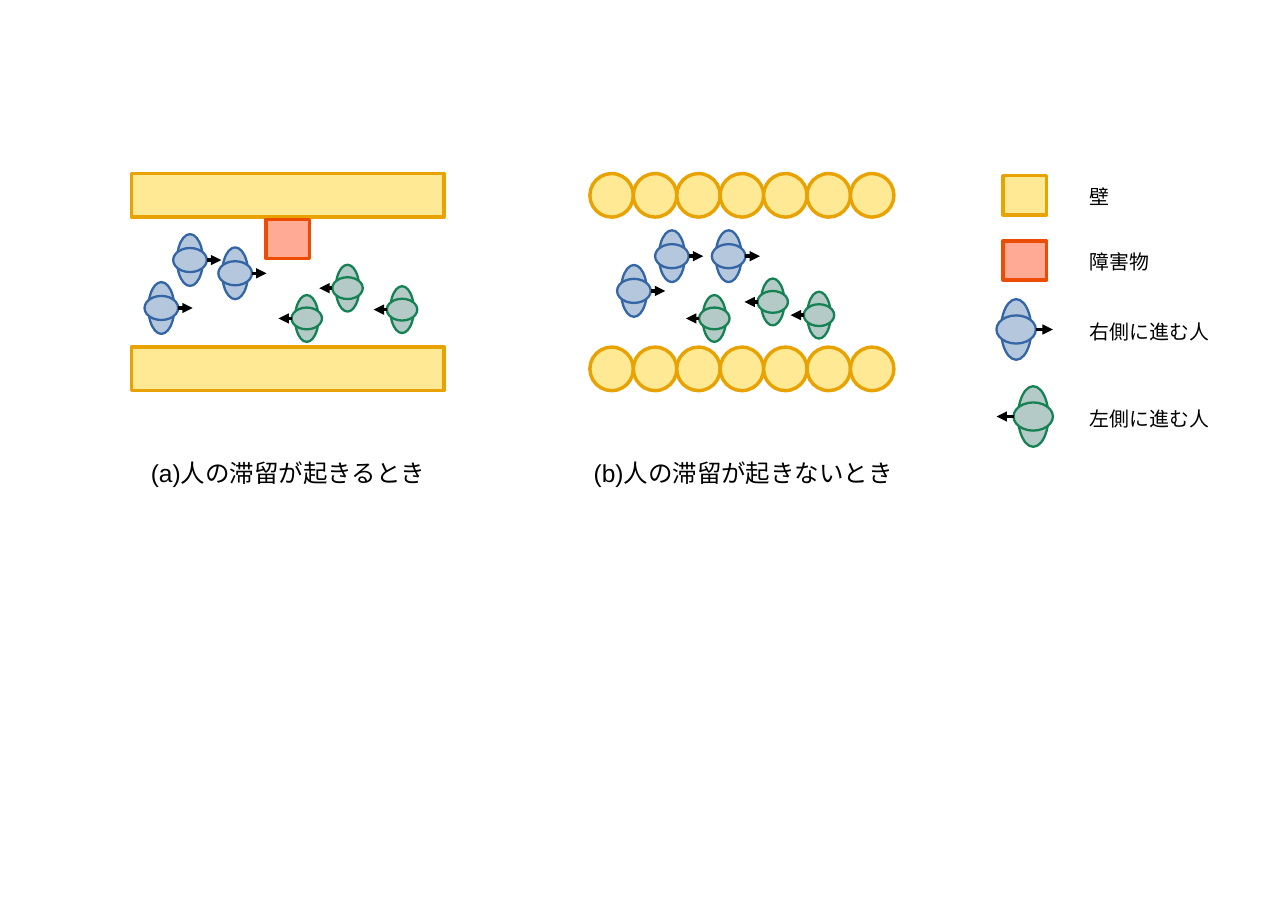
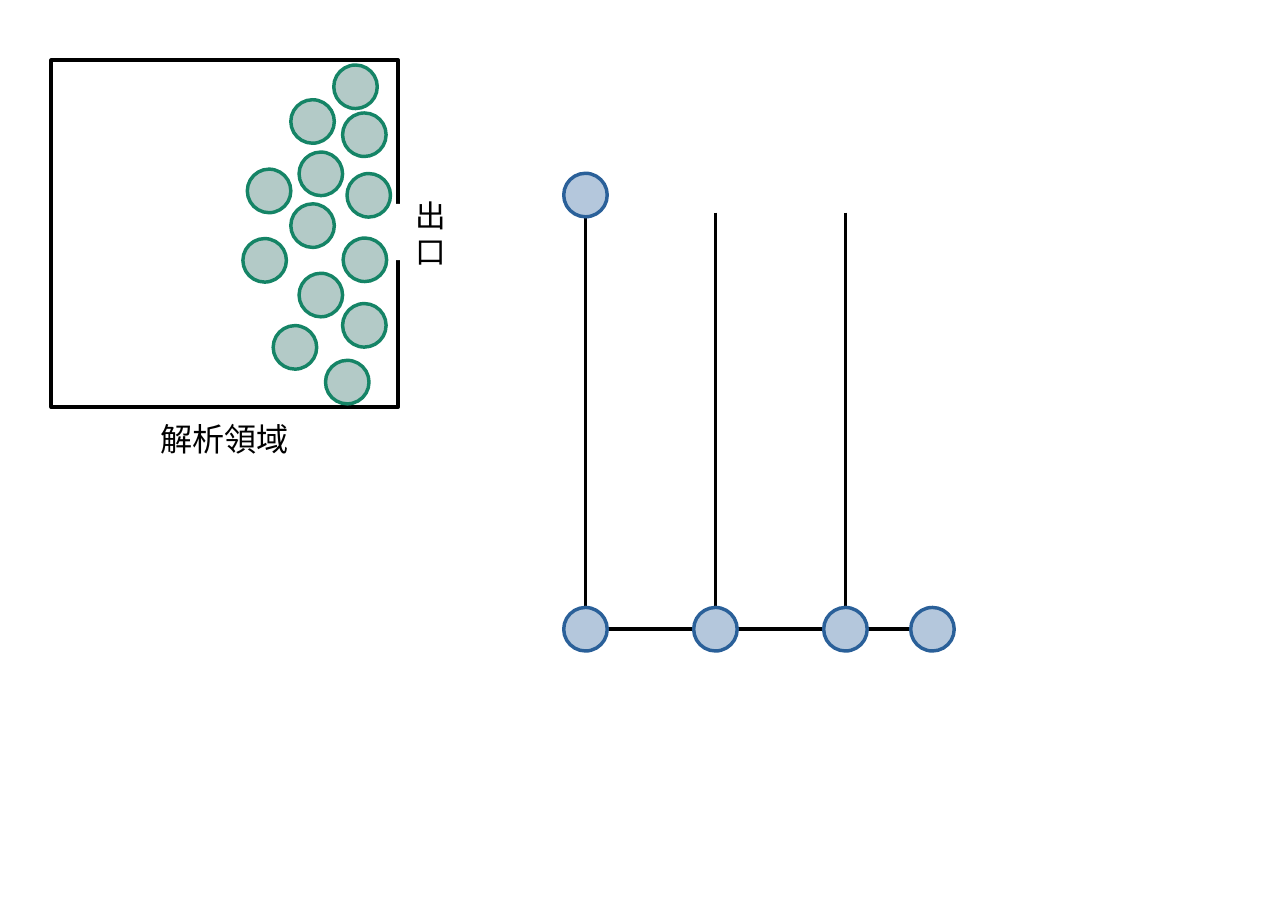
from pptx import Presentation
from pptx.dml.color import RGBColor as RGB
from pptx.enum.shapes import MSO_CONNECTOR as Conn, MSO_SHAPE as Shape
from pptx.enum.text import PP_ALIGN as Align
from pptx.oxml import parse_xml
from pptx.oxml.ns import nsdecls
from pptx.util import Inches, Pt

# Shared look: (fill, line, line width)
WIDE, HIGH = Pt(1683.75), Pt(1190.5)  # A2 sheet
BLACK, WHITE = RGB(0, 0, 0), RGB(0xFF, 0xFF, 0xFF)
SAND, GOLD = RGB(0xFF, 0xE9, 0x94), RGB(0xE8, 0xA2, 0x02)
PINK, RED = RGB(0xFF, 0xAA, 0x95), RGB(0xED, 0x4C, 0x05)
SKY, BLUE, NAVY = RGB(0xB4, 0xC7, 0xDC), RGB(0x34, 0x65, 0xA4), RGB(0x2A, 0x60, 0x99)
MINT, GREEN, TEAL = RGB(0xB3, 0xCA, 0xC7), RGB(0x16, 0x82, 0x53), RGB(0x15, 0x84, 0x66)
THIN, THICK = 3, 4.5
WALL, BLOCK = (SAND, GOLD, THICK), (PINK, RED, THICK)
EAST, WEST = (SKY, BLUE, THIN), (MINT, GREEN, THIN)
CROWD, NODE = (MINT, TEAL, THICK), (SKY, NAVY, THICK)
FRAME, DOOR = (WHITE, BLACK, THICK), (WHITE, None, 0)
LATIN, CJK = "Arial", "Noto Sans CJK JP"
UNIT = 0.79  # side of a wall block, diameter of a disc

# Slide 1: centres of the people, by walking direction
TALL, SHORT, LARGE = 0.94, 0.85, 1.1
RIGHT = [(4.27, 4.96), (3.45, 4.72), (2.93, 5.59),
         (13.23, 4.65), (12.2, 4.65), (11.51, 5.28)]
LEFT = [(5.57, 5.78), (6.31, 5.23), (7.3, 5.62),
        (12.97, 5.78), (14.03, 5.48), (14.87, 5.72)]
ROWS = [3.15, 6.3]  # tops of the two walls
DISCS = 7
CAPS = [("(a)人の滞留が起きるとき", 2.64, 5.19),
        ("(b)人の滞留が起きないとき", 10.68, 5.64)]
KEYS = [("壁", 3.31, LATIN), ("障害物", 4.49, CJK),
        ("右側に進む人", 5.75, CJK), ("左側に進む人", 7.33, CJK)]

# Slide 2: left and top of each person in the room, centres of the nodes
ROOM = [(5.43, 2.76), (6.23, 4.32), (6.22, 2.05), (6.3, 3.15), (5.28, 3.7),
        (5.43, 4.96), (6.22, 5.51), (4.41, 4.33), (4.49, 3.07), (5.28, 1.81),
        (6.06, 1.18), (5.91, 6.54), (4.96, 5.91)]
POSTS = [10.63 + 2.36 * i for i in range(3)]
BASE, TOP = 11.42, 3.86
NODES = [(x, BASE) for x in POSTS + [16.93]] + [(POSTS[0], 3.54)]


def draw(on, kind, x, y, w, h, look):
    fill, edge, width = look
    item = on.shapes.add_shape(kind, Inches(x), Inches(y), Inches(w), Inches(h))
    item.shadow.inherit = False
    item.fill.solid()
    item.fill.fore_color.rgb = fill
    if edge is None:
        item.line.fill.background()
    else:
        item.line.color.rgb = edge
        item.line.width = Pt(width)


def link(on, x1, y1, x2, y2, arrow=False):
    line = on.shapes.add_connector(Conn.STRAIGHT, *map(Inches, (x1, y1, x2, y2)))
    line.line.color.rgb = BLACK
    line.line.width = Pt(THICK)
    if arrow:
        line.line._get_or_add_ln().append(
            parse_xml(f'<a:tailEnd {nsdecls("a")} type="triangle"/>'))
    line._element.spPr.append(parse_xml(f'<a:effectLst {nsdecls("a")}/>'))


def write(on, lines, x, y, w, h, size, font=LATIN, align=Align.LEFT, wrap=True):
    frame = on.shapes.add_textbox(*map(Inches, (x, y, w, h))).text_frame
    frame.word_wrap = wrap
    for i, words in enumerate(lines):
        para = frame.add_paragraph() if i else frame.paragraphs[0]
        para.alignment = align
        run = para.add_run()
        run.text = words
        run.font.size, run.font.name = Pt(size), font
        run.font.color.rgb = BLACK
        run._r.get_or_add_rPr().append(
            parse_xml(f'<a:ea {nsdecls("a")} typeface="{font}"/>'))


def person(on, x, y, tall, look, way):
    """Shoulders, head and an arrow; way is 1 for right, -1 for left."""
    group = on.shapes.add_group_shape()
    for w, h in ((0.5 * tall, tall), (0.65 * tall, 0.465 * tall)):
        draw(group, Shape.OVAL, x - w / 2, y - h / 2, w, h, look)
    edge = x + way * w / 2
    link(group, edge, y, edge + way * 0.28 * tall, y, arrow=True)


def flow(page):
    # Walls: plain on the left, a row of discs on the right
    for y in ROWS:
        draw(page, Shape.RECTANGLE, 2.39, y, 5.67, UNIT, WALL)
        for i in range(DISCS):
            draw(page, Shape.OVAL, 10.71 + i * 4.73 / (DISCS - 1), y, UNIT, UNIT, WALL)
    draw(page, Shape.RECTANGLE, 4.83, 3.98, UNIT, 0.71, BLOCK)
    # People
    for x, y in RIGHT:
        person(page, x, y, TALL, EAST, 1)
    for x, y in LEFT:
        person(page, x, y, SHORT, WEST, -1)
    # Legend
    for y, look in ((3.19, WALL), (4.37, BLOCK)):
        draw(page, Shape.RECTANGLE, 18.21, y, UNIT, 0.71, look)
    person(page, 18.45, 5.98, LARGE, EAST, 1)
    person(page, 18.76, 7.56, LARGE, WEST, -1)
    for words, y, font in KEYS:
        write(page, [words], 19.69, y, 2.37, 0.62, 26, font, wrap=False)
    # Captions
    for words, x, w in CAPS:
        write(page, [words], x, 8.27, w, 0.74, 32)


def room(page):
    # Room with its exit
    draw(page, Shape.RECTANGLE, 0.93, 1.09, 6.3, 6.3, FRAME)
    draw(page, Shape.RECTANGLE, 6.85, 3.7, UNIT, 1.02, DOOR)
    for x, y in ROOM:
        draw(page, Shape.OVAL, x, y, UNIT, UNIT, CROWD)
    write(page, ["解析領域"], 2.66, 7.57, 2.83, 0.8, 42, align=Align.CENTER)
    write(page, ["出", "口"], 7.44, 3.52, 0.75, 1.71, 40)
    # Posts on a base line, then the nodes above them
    link(page, 17.09, BASE, 10.47, BASE)
    for x in POSTS:
        link(page, x, TOP, x, BASE)
    for x, y in NODES:
        draw(page, Shape.OVAL, x - UNIT / 2, y - UNIT / 2, UNIT, UNIT, NODE)


def main():
    deck = Presentation()
    deck.slide_width, deck.slide_height = WIDE, HIGH
    for build in (flow, room):
        build(deck.slides.add_slide(deck.slide_layouts[6]))
    deck.save("out.pptx")


if __name__ == "__main__":
    main()
